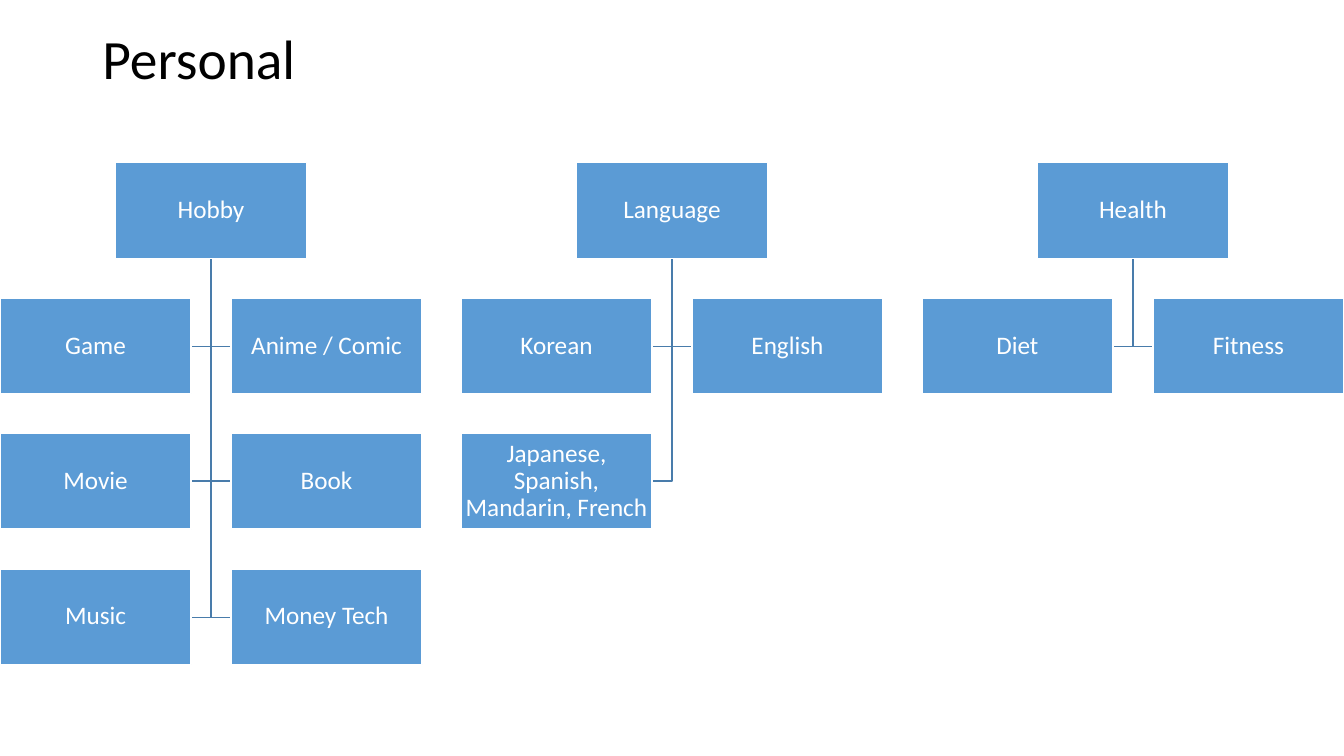
from pptx import Presentation
from pptx import util as u
from pptx.dml.color import RGBColor
from pptx.enum import shapes, text

PX = 9525
COLORS = {"box": "5B9BD5", "branch": "497CAB", "light": "FFFFFF", "dark": "000000"}
BOX_WIDTH, BOX_HEIGHT = 182, 91
COLUMN_STEP, ROW_STEP, TREE_STEP = 220, 129, 439
TREE_TOP = 155
TREES = {
    "Hobby": ["Game", "Anime / Comic", "Movie", "Book", "Music", "Money Tech"],
    "Language": ["Korean", "English", "Japanese, Spanish, Mandarin, French"],
    "Health": ["Diet", "Fitness"],
}


def write_text(shape, content, size, color, alignment, frame_format):
    frame = shape.text_frame
    for name, value in frame_format.items():
        setattr(frame, name, value)
    paragraph = frame.paragraphs[0]
    paragraph.alignment = alignment
    paragraph.line_spacing = 0.9
    run = paragraph.add_run()
    run.text = content
    for name, value in {"name": "Calibri", "size": u.Pt(size)}.items():
        setattr(run.font, name, value)
    run.font.color.rgb = RGBColor.from_string(COLORS[color])


def style_line(shape, color):
    shape.shadow.inherit = False
    shape.line.width = u.Pt(1)
    shape.line.color.rgb = RGBColor.from_string(COLORS[color])


presentation = Presentation()
presentation.slide_width = 1280 * PX
presentation.slide_height = 720 * PX
slide = presentation.slides.add_slide(presentation.slide_layouts[5])

title = slide.shapes.title
for name, value in {"left": 88, "top": 30, "width": 1104, "height": 57}.items():
    setattr(title, name, value * PX)
title_format = {
    "word_wrap": True,
    "auto_size": text.MSO_AUTO_SIZE.NONE,
    "vertical_anchor": text.MSO_ANCHOR.MIDDLE,
}
write_text(title, "Personal", 39.6, "dark", text.PP_ALIGN.LEFT, title_format)

box_format = title_format | {
    f"margin_{side}": PX for side in ("left", "top", "right", "bottom")
}

for tree, (topic, items) in enumerate(TREES.items()):
    tree_left = tree * TREE_STEP
    topic_left = tree_left + COLUMN_STEP // 2
    trunk_x = topic_left + BOX_WIDTH // 2
    boxes = [(topic, topic_left, TREE_TOP)]

    for index, item in enumerate(items):
        row, column = divmod(index, 2)
        left = tree_left + column * COLUMN_STEP
        top = TREE_TOP + (row + 1) * ROW_STEP
        boxes.append((item, left, top))

        middle = top + BOX_HEIGHT / 2
        inner_edge = left if column else left + BOX_WIDTH
        builder = slide.shapes.build_freeform(trunk_x, TREE_TOP + BOX_HEIGHT, scale=PX)
        builder.add_line_segments([(trunk_x, middle), (inner_edge, middle)], close=False)
        branch = builder.convert_to_shape()
        branch.fill.background()
        style_line(branch, "branch")

    for label, left, top in boxes:
        box = slide.shapes.add_shape(
            shapes.MSO_SHAPE.RECTANGLE,
            left * PX, top * PX, BOX_WIDTH * PX, BOX_HEIGHT * PX,
        )
        box.fill.solid()
        box.fill.fore_color.rgb = RGBColor.from_string(COLORS["box"])
        style_line(box, "light")
        write_text(box, label, 18, "light", text.PP_ALIGN.CENTER, box_format)

presentation.save("out.pptx")
